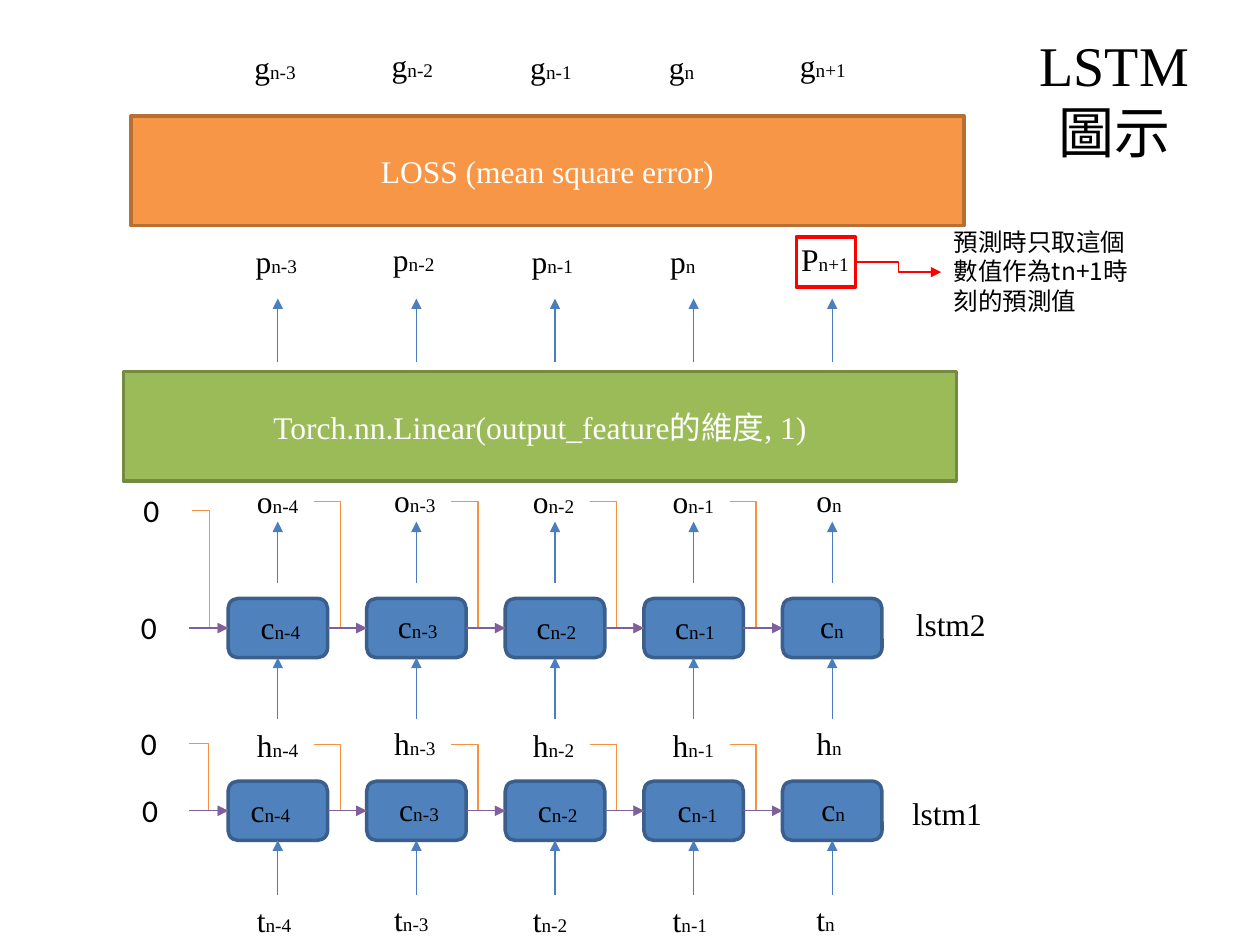
from pptx import Presentation
from pptx.dml.color import RGBColor
from pptx.enum.shapes import MSO_CONNECTOR, MSO_SHAPE
from pptx.enum.text import MSO_ANCHOR, MSO_AUTO_SIZE, PP_ALIGN
from pptx.oxml.ns import qn
from pptx.util import Inches, Pt
from lxml.etree import SubElement

COLORS = {
    "black": "000000", "white": "FFFFFF", "red": "FF0000",
    "cell": "4F81BD", "cell_edge": "3A5F8C",
    "linear": "9BBB59", "linear_edge": "738A42",
    "loss": "F79646", "loss_edge": "B76F34",
    "flow": "4B7EBC", "hidden": "F69240", "state": "7D60A0",
}
SERIF, SANS, CJK = "Times New Roman", "Calibri", "Noto Sans CJK SC"

# Five time steps, one column each
STEPS = 5
PITCH = 1.1
CELL_LEFT, CELL_WIDTH, CELL_HEIGHT = 1.81, 0.79, 0.47
CELL_LEFTS = [CELL_LEFT + PITCH * step for step in range(STEPS)]
CENTERS = [left + CELL_WIDTH / 2 for left in CELL_LEFTS]
LABEL_WIDTH = 0.55

INPUT_STEPS = ["n-4", "n-3", "n-2", "n-1", "n"]
OUTPUT_STEPS = ["n-3", "n-2", "n-1", "n", "n+1"]
INPUT_LEFTS = [1.94, 3.03, 4.13, 5.24, 6.38]
OUTPUT_LEFTS = [1.93, 3.02, 4.12, 5.22, 6.26]


def color(name):
    return RGBColor.from_string(COLORS[name])


def set_values(target, values):
    for name, value in values.items():
        setattr(target, name, value)


def write(shape, spans, ink="black", align=PP_ALIGN.LEFT):
    """Fill the first paragraph with (text, size, font) spans."""
    para = shape.text_frame.paragraphs[0]
    para.alignment = align
    for text, size, font in spans:
        span = para.add_run()
        span.text = text
        set_values(span.font, {"size": Pt(size), "name": font})
        span.font.color.rgb = color(ink)
        east_asian = SubElement(span._r.get_or_add_rPr(), qn("a:ea"))
        east_asian.set("typeface", font)


def add_text(page, left, top, width, height, spans, align=PP_ALIGN.LEFT):
    box = page.shapes.add_textbox(*map(Inches, (left, top, width, height)))
    set_values(box.text_frame, {
        "word_wrap": True,
        "auto_size": MSO_AUTO_SIZE.SHAPE_TO_FIT_TEXT,
    })
    write(box, spans, align=align)


def add_block(page, kind, left, top, width, height, edge, fill=None):
    block = page.shapes.add_shape(kind, *map(Inches, (left, top, width, height)))
    block.shadow.inherit = False
    if fill:
        block.fill.solid()
        block.fill.fore_color.rgb = color(fill)
    else:
        block.fill.background()
    block.line.color.rgb = color(edge)
    block.line.width = Pt(2)
    return block


def add_banner(page, left, top, fill, spans):
    banner = add_block(page, MSO_SHAPE.RECTANGLE, left, top, 6.61, 0.87,
                       fill + "_edge", fill)
    set_values(banner.text_frame, {
        "word_wrap": True, "vertical_anchor": MSO_ANCHOR.MIDDLE,
    })
    write(banner, spans, "white", PP_ALIGN.CENTER)


def add_arrow(page, start, end, ink, kind=MSO_CONNECTOR.STRAIGHT):
    arrow = page.shapes.add_connector(kind, *map(Inches, (*start, *end)))
    arrow.line.color.rgb = color(ink)
    arrow.line.width = Pt(0.75)
    properties = arrow.element.spPr
    SubElement(properties.find(qn("a:ln")), qn("a:tailEnd"), type="triangle")
    SubElement(properties, qn("a:effectLst"))
    return arrow


def add_label_row(page, letters, steps, lefts, top):
    """Letters with a small index; the second label sits slightly higher."""
    for number, (letter, step, left) in enumerate(zip(letters, steps, lefts)):
        rise = 0.01 if number in (1, STEPS - 1) else 0
        add_text(page, left, top - rise, LABEL_WIDTH + 0.03, 0.4,
                 [(letter, 18, SERIF), (step, 11, SERIF)])


def add_up_arrows(page, bottom, top):
    for center in CENTERS:
        add_arrow(page, (center, bottom), (center, top), "flow")


def add_layer(page, name, name_at, cell_top, cell_label_lefts, input_top,
              output_top, zeros, hidden_start):
    """One LSTM layer: cells, their states and the arrows between them."""
    middle = cell_top + CELL_HEIGHT / 2
    cells = [add_block(page, MSO_SHAPE.ROUNDED_RECTANGLE, left, cell_top,
                       CELL_WIDTH, CELL_HEIGHT, "cell_edge", "cell")
             for left in CELL_LEFTS]
    add_text(page, *name_at, 0.87, 0.4, [(name, 18, SERIF)])
    add_label_row(page, "c" * STEPS, INPUT_STEPS, cell_label_lefts,
                  cell_top + 0.03)
    for zero_at in zeros:
        add_text(page, *zero_at, 0.47, 0.4, [("0", 18, SANS)])

    # Inputs from below
    for cell, center in zip(cells, CENTERS):
        arrow = add_arrow(page, (center, input_top),
                          (center, cell_top + CELL_HEIGHT), "flow")
        arrow.end_connect(cell, 2)

    # Hidden output bends into the next cell
    starts = [hidden_start] + [(left + LABEL_WIDTH, output_top + 0.2)
                               for left in INPUT_LEFTS[:-1]]
    for start, left in zip(starts, CELL_LEFTS):
        add_arrow(page, start, (left, middle), "hidden", MSO_CONNECTOR.ELBOW)

    # Cell state runs from left to right
    for previous, cell, left in zip([None] + cells, cells, CELL_LEFTS):
        arrow = add_arrow(page, (1.5, middle), (left, middle), "state")
        if previous is not None:
            arrow.begin_connect(previous, 3)
        arrow.end_connect(cell, 1)


def main():
    deck = Presentation()
    deck.slide_width, deck.slide_height = Inches(10), Inches(7.5)
    page = deck.slides.add_slide(deck.slide_layouts[6])

    # Title
    add_text(page, 8.01, 0.19, 1.67, 1.18,
             [("LSTM ", 32, SERIF), ("圖示", 32, CJK)], PP_ALIGN.CENTER)

    # Two stacked LSTM layers
    add_layer(page, "lstm1", (7.14, 6.25), 6.2, [1.89, 3.07, 4.17, 5.28, 6.42],
              7.1, 5.71, [(1.02, 5.7), (1.03, 6.23)], (1.5, 5.9))
    add_layer(page, "lstm2", (7.17, 4.75), 4.75, [1.97, 3.06, 4.16, 5.26, 6.41],
              5.71, 3.78, [(1.04, 3.85), (1.02, 4.78)], (1.52, 4.05))
    for letter, top in (("t", 7.1), ("h", 5.71), ("o", 3.78)):
        add_label_row(page, letter * STEPS, INPUT_STEPS, INPUT_LEFTS, top)
    add_up_arrows(page, 4.63, 4.14)

    # Linear layer and predictions
    add_banner(page, 0.98, 2.95, "linear", [
        ("Torch.nn.Linear(output_feature", 18, SERIF),
        ("的維度", 18, CJK), (", 1)", 18, SERIF),
    ])
    add_up_arrows(page, 2.87, 2.37)
    add_label_row(page, "ppppP", OUTPUT_STEPS, OUTPUT_LEFTS, 1.87)

    # Loss and ground truth
    add_banner(page, 1.04, 0.92, "loss",
               [("LOSS (mean square error)", 18, SERIF)])
    add_label_row(page, "g" * STEPS, OUTPUT_STEPS,
                  [left - 0.01 for left in OUTPUT_LEFTS], 0.33)

    # Marked prediction with its note
    add_block(page, MSO_SHAPE.RECTANGLE, 6.32, 1.88, 0.47, 0.4, "red")
    add_arrow(page, (6.79, 2.08), (7.47, 2.16), "red", MSO_CONNECTOR.ELBOW)
    add_text(page, 7.47, 1.75, 1.75, 0.81,
             [("預測時只取這個數值作為tn+1時刻的預測值", 14, CJK)])

    deck.save("out.pptx")


if __name__ == "__main__":
    main()
